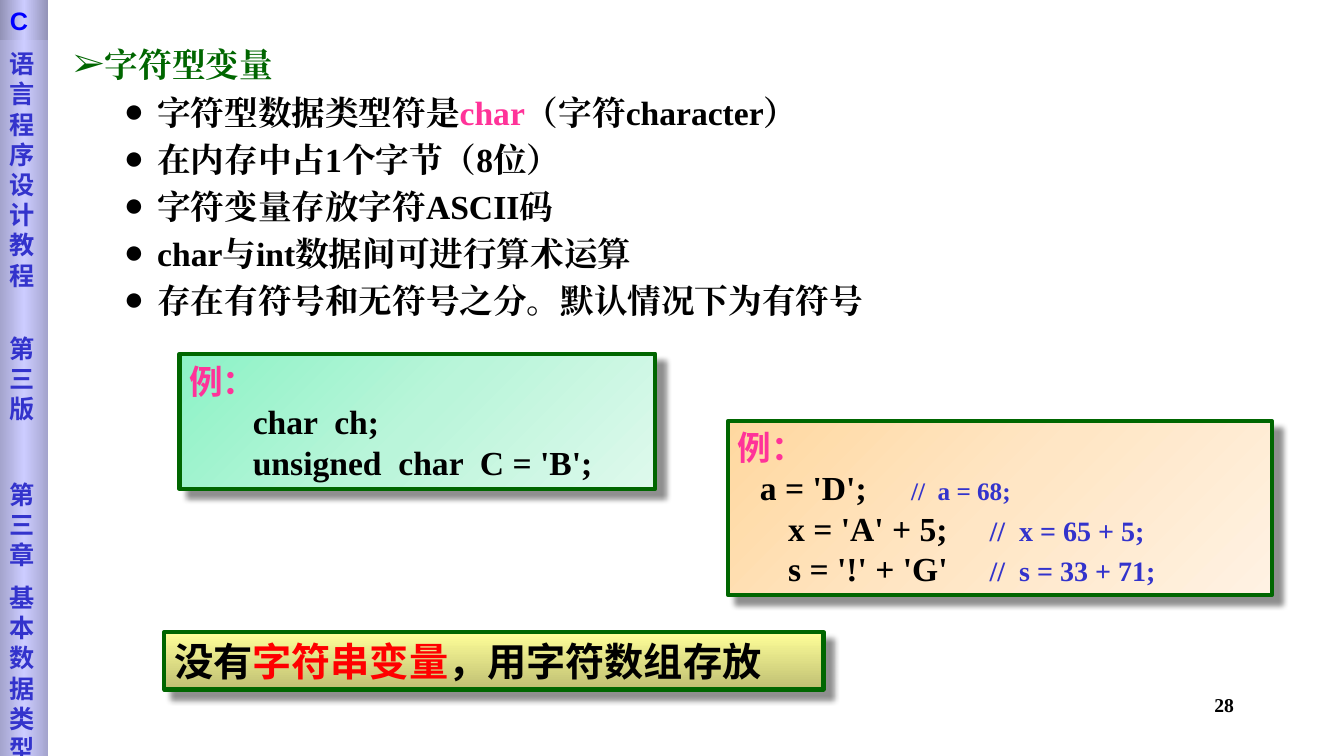
import pptx
import pptx.util
import pptx.dml.color
import pptx.enum.shapes
import pptx.enum.text
import pptx.oxml
import pptx.oxml.ns

CELL = pptx.util.Inches(0.1)  # side of one grid square
WIDE, HIGH = 133.33, 75
GREEN, PINK, BLUE, BLACK = "006600", "FF3399", "3333CC", "000000"
SERIF, SANS, HAN, SIDE = "Times New Roman", "Arial", "Noto Sans CJK SC", "DejaVu Sans"
NS = pptx.oxml.ns.nsdecls("a")
NONE = pptx.enum.text.MSO_AUTO_SIZE.NONE
TOP = pptx.enum.text.MSO_ANCHOR.TOP
RECT = pptx.enum.shapes.MSO_SHAPE.RECTANGLE
MID = pptx.enum.text.MSO_ANCHOR.MIDDLE
LEFT, RIGHT = pptx.enum.text.PP_ALIGN.LEFT, pptx.enum.text.PP_ALIGN.RIGHT


def grid(*cells):
    """Turn grid columns and rows into lengths."""
    return [round(cell * CELL) for cell in cells]


def tint(color, code):
    color.rgb = pptx.dml.color.RGBColor.from_string(code)


def xml(text):
    return pptx.oxml.parse_xml(text)


def apply(item, form):
    for name, value in form.items():
        setattr(item, name, value)


def add_run(para, text, code=BLACK, size=24, face=SERIF):
    run = para.add_run()
    run.text = text
    apply(run.font, {"size": pptx.util.Pt(size), "bold": True, "name": face})
    tint(run.font.color, code)
    run.font._element.get_or_add_latin().addnext(xml(f'<a:ea {NS} typeface="{face}"/>'))


def add_para(frame, runs, indent=0, hang=0, mark=None, tab=None, **form):
    """Fill the empty first paragraph, or append one; indents are in columns."""
    para = frame.paragraphs[0]
    if para.runs:
        para = frame.add_paragraph()
    apply(para, {"alignment": LEFT, "space_before": pptx.util.Pt(0), **form})
    for run in runs:
        add_run(para, *run)
    props = para._p.get_or_add_pPr()
    left, first = grid(indent, -hang)
    props.set("marL", str(left))
    props.set("indent", str(first))
    if mark:
        props.append(xml(f'<a:buFont {NS} typeface="{SERIF}"/>'))
        props.append(xml(f'<a:buChar {NS} char="{mark}"/>'))
    if tab:
        stop, = grid(tab)
        props.append(xml(f'<a:tabLst {NS}><a:tab pos="{stop}" algn="l"/></a:tabLst>'))


def set_frame(shape, anchor=TOP, **form):
    frame = shape.text_frame
    apply(frame, {"word_wrap": True, "auto_size": NONE,
                  "vertical_anchor": anchor, **form})
    return frame


def add_panel(slide, area, stops, angle, edge=None, **form):
    """Add a gradient rectangle; one with an edge also casts a shadow."""
    panel = slide.shapes.add_shape(RECT, *grid(*area))
    panel.shadow.inherit = False
    panel.line.fill.background()
    last = len(stops) - 1
    marks = "".join(
        f'<a:gs pos="{100000 * n // last}"><a:srgbClr val="{code}"/></a:gs>'
        for n, code in enumerate(stops))
    props = panel._element.spPr
    props.find(pptx.oxml.ns.qn("a:prstGeom")).addnext(xml(
        f'<a:gradFill {NS} rotWithShape="1"><a:gsLst>{marks}</a:gsLst>'
        f'<a:lin ang="{angle * 60000}" scaled="0"/></a:gradFill>'))
    if edge:
        tint(panel.line.color, edge)
        panel.line.width = pptx.util.Pt(3)
        glow = props.find(pptx.oxml.ns.qn("a:effectLst"))
        glow.append(xml(
            f'<a:outerShdw {NS} blurRad="50800" dist="106700" dir="2700000" algn="tl">'
            '<a:srgbClr val="000000"><a:alpha val="43000"/></a:srgbClr></a:outerShdw>'))
    return set_frame(panel, **form)


def add_list(slide):
    body = slide.placeholders[1]
    apply(body, dict(zip(("left", "top", "width", "height"),
                         grid(1.3, 3.9, 127.6, 34.4))))
    frame = set_frame(body)
    gap = {"space_before": pptx.util.Pt(4.8), "line_spacing": 1.0}
    add_para(frame, [("字符型变量", GREEN)], 8.1, 3.1, "➢", **gap)
    points = [
        [("字符型数据类型符是",), ("char", PINK), ("（字符character）",)],
        [("在内存中占1个字节（8位）",)],
        [("字符变量存放字符ASCII码",)],
        [("char与int数据间可进行算术运算",)],
        [("存在有符号和无符号之分。默认情况下为有符号",)],
    ]
    for runs in points:
        add_para(frame, runs, 13.3, 3.3, "●", level=1, **gap)


def add_code(slide):
    pitch = {"line_spacing": pptx.util.Pt(29)}
    head = [("例：", PINK, 24, HAN)]
    frame = add_panel(slide, (17.8, 35.1, 47.2, 13.4),
                      ("8CF2C6", "BAF5DA", "DEF9EC"), 45, GREEN, anchor=MID)
    add_para(frame, head, **pitch)
    for line in ("char  ch;", "unsigned  char  C = 'B';"):
        add_para(frame, [(line,)], 6.3, **pitch)
    frame = add_panel(slide, (72.2, 41.8, 54, 17.2),
                      ("FFD8A0", "FFE6C5", "FFF2E3"), 45, GREEN)
    add_para(frame, head, **pitch)
    lines = [
        ("a = 'D';", "//  a = 68;", 18, 2.2, 21.9),
        ("x = 'A' + 5;", "//  x = 65 + 5;", 20, 5, 24.9),
        ("s = '!' + 'G'", "//  s = 33 + 71;", 20, 5, 24.9),
    ]
    for code, note, size, indent, tab in lines:
        add_para(frame, [(code + "\t",), (note, BLUE, size)], indent, tab=tab, **pitch)


def add_side(slide):
    frame = add_panel(slide, (0, 0, 4.8, HIGH), ("A4A4CD", "CCCCFF", "A4A4CD"), 0,
                      margin_top=grid(4.8)[0])
    parts = [("语言程序设计教程", 0), ("第三版", 30.5), ("第三章", 39.5),
             ("基本数据类型", 9)]
    for text, gap in parts:
        add_para(frame, [(text, BLUE, 18, SIDE)], space_before=pptx.util.Pt(gap))
    frame = add_panel(slide, (0, 0, 4.8, 4), ("9292B6", "CCCCFF", "9292B6"), 0,
                      anchor=MID)
    add_para(frame, [("C", "0000FF", 18, SANS)])


def main():
    deck = pptx.Presentation()
    deck.slide_width, deck.slide_height = grid(WIDE, HIGH)
    slide = deck.slides.add_slide(deck.slide_layouts[1])
    title = slide.shapes.title._element
    title.getparent().remove(title)
    add_list(slide)
    add_code(slide)
    frame = add_panel(slide, (16.3, 62.7, 65.4, 5.7), ("FFFF99", "BFBF73"), 90,
                      GREEN, anchor=MID)
    add_para(frame, [("没有", BLACK, 28, SANS), ("字符串变量", "FF0000", 28, SANS),
                     ("，用字符数组存放", BLACK, 28, SANS)])
    add_side(slide)
    page = slide.shapes.add_textbox(*grid(95.6, 68.3, 27.8, 5))
    add_para(set_frame(page), [("28", BLACK, 14)], alignment=RIGHT)
    deck.save("out.pptx")


if __name__ == "__main__":
    main()
